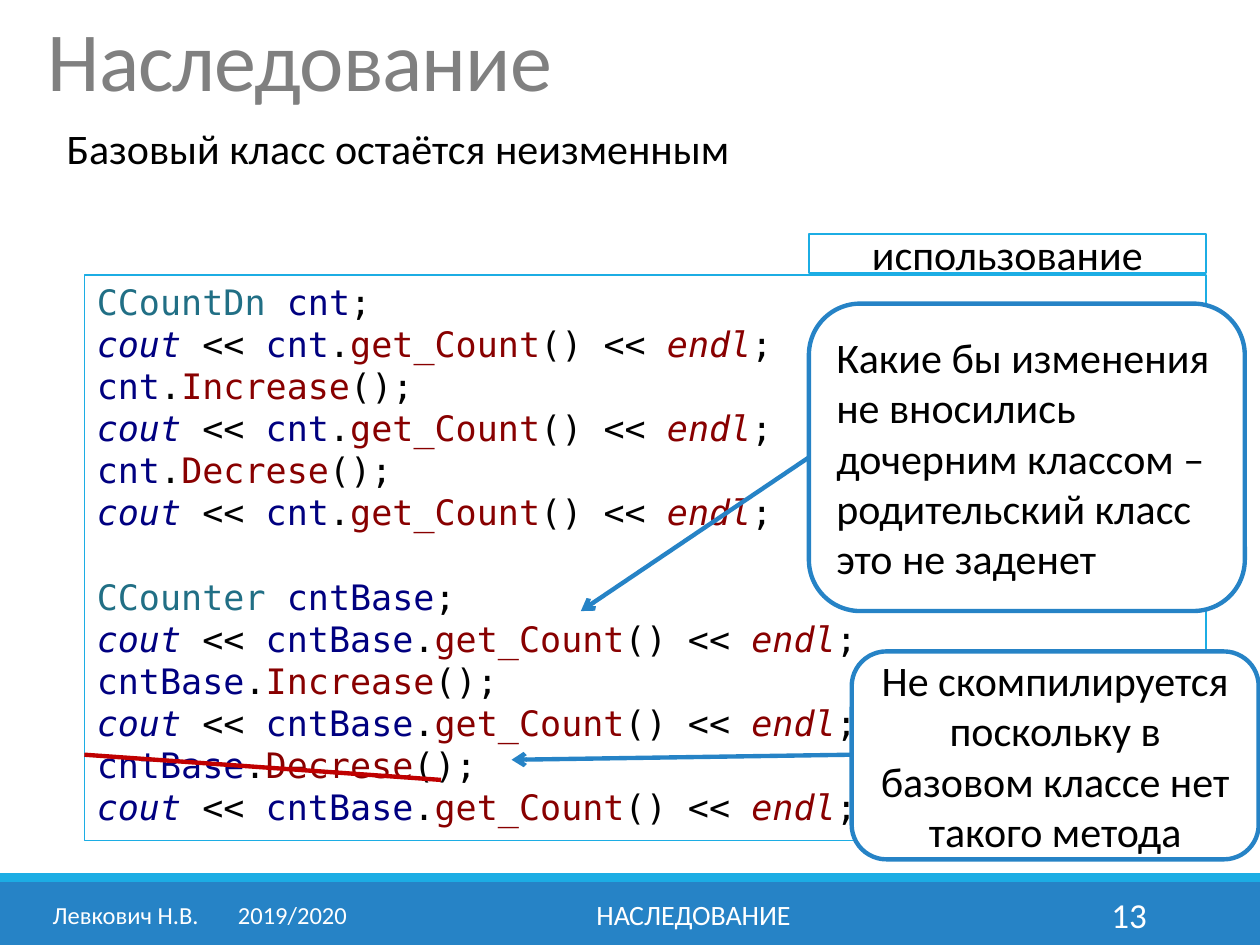
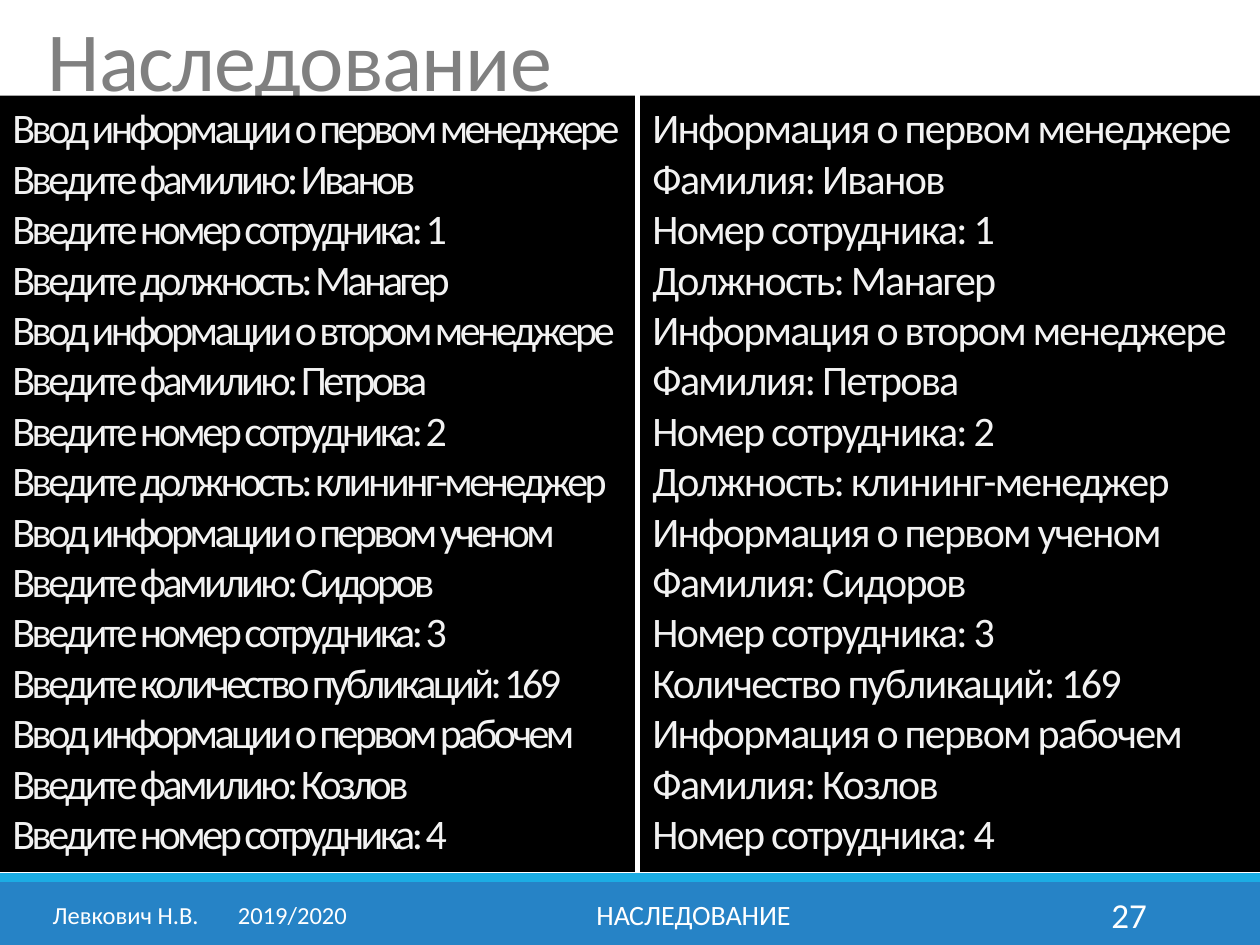
import itertools

import lxml.etree
import pptx
import pptx.dml.color
import pptx.enum.shapes
import pptx.enum.text
import pptx.oxml.ns
import pptx.util

PX = 9144
COLORS = {
    "blue": "2683C6", "cyan": "1CADE4", "gray": "808080", "black": "000000",
    "white": "FFFFFF", "light": "F2F2F2", "red": "C00000",
    "type": "216F85", "variable": "000080", "method": "880000",
}
SYNTAX = {
    "CCountDn": "type", "CCounter": "type",
    "cout": "variable", "cnt": "variable", "cntBase": "variable",
    "get_Count": "method", "Increase": "method", "Decrese": "method", "endl": "method",
}
ITALIC = ("cout", "endl")
ALIGN = pptx.enum.text.PP_ALIGN
ANCHOR = pptx.enum.text.MSO_ANCHOR
SHAPE = pptx.enum.shapes.MSO_SHAPE

CODE = """CCountDn cnt;
cout << cnt.get_Count() << endl;
cnt.Increase();
cout << cnt.get_Count() << endl;
cnt.Decrese();
cout << cnt.get_Count() << endl;

CCounter cntBase;
cout << cntBase.get_Count() << endl;
cntBase.Increase();
cout << cntBase.get_Count() << endl;
cntBase.Decrese();
cout << cntBase.get_Count() << endl;"""

INPUT = """Ввод информации о первом менеджере
Введите фамилию: Иванов
Введите номер сотрудника: 1
Введите должность: Манагер
Ввод информации о втором менеджере
Введите фамилию: Петрова
Введите номер сотрудника: 2
Введите должность: клининг-менеджер
Ввод информации о первом ученом
Введите фамилию: Сидоров
Введите номер сотрудника: 3
Введите количество публикаций: 169
Ввод информации о первом рабочем
Введите фамилию: Козлов
Введите номер сотрудника: 4"""

OUTPUT = """Информация о первом менеджере
Фамилия: Иванов
Номер сотрудника: 1
Должность: Манагер
Информация о втором менеджере
Фамилия: Петрова
Номер сотрудника: 2
Должность: клининг-менеджер
Информация о первом ученом
Фамилия: Сидоров
Номер сотрудника: 3
Количество публикаций: 169
Информация о первом рабочем
Фамилия: Козлов
Номер сотрудника: 4"""


def rgb(name):
    return pptx.dml.color.RGBColor.from_string(COLORS[name])


def add_xml(parent, tag, **attrs):
    return lxml.etree.SubElement(parent, pptx.oxml.ns.qn(tag), attrs)


def tokens(line):
    """Split a line of code into words and the symbols between them."""
    groups = itertools.groupby(line, lambda ch: ch.isalnum() or ch == "_")
    return ["".join(chars) for _, chars in groups]


def write(sp, text, size=24, color="black", font="Calibri", align=ALIGN.LEFT,
          anchor=ANCHOR.TOP, spacing=None, leading=None, tab=None, code=False):
    """Fill a shape with one paragraph per line of text."""
    tf = sp.text_frame
    tf.word_wrap = True
    tf.vertical_anchor = anchor
    for i, line in enumerate(text.split("\n")):
        p = tf.add_paragraph() if i else tf.paragraphs[0]
        p.alignment = align
        if leading:
            p.line_spacing = leading
        if tab:
            tabs = add_xml(p._p.get_or_add_pPr(), "a:tabLst")
            add_xml(tabs, "a:tab", pos=str(tab * PX), algn="l")
        for token in tokens(line) if code else [line]:
            r = p.add_run()
            r.text = token
            r.font.size = pptx.util.Pt(size)
            r.font.name = font
            r.font.italic = code and token in ITALIC
            r.font.color.rgb = rgb(SYNTAX.get(token, color) if code else color)
            if spacing:
                r._r.get_or_add_rPr().set("spc", str(int(spacing * 100)))
        if not line:
            end = add_xml(p._p, "a:endParaRPr", sz=str(size * 100))
            add_xml(end, "a:latin", typeface=font)


class Deck:
    """Holds the presentation style and the current slide."""

    def __init__(self):
        self.prs = pptx.Presentation()
        self.prs.slide_width = 1000 * PX
        self.prs.slide_height = 750 * PX

    def slide(self, title):
        self.s = self.prs.slides.add_slide(self.prs.slide_layouts[6])
        self.box(0, 700, 1000, 50, fill="blue")
        self.box(0, 693, 1000, 7, fill="cyan")
        self.text(28, 13, 945, 79, title, size=48, color="gray", spacing=-0.5, leading=0.85)

    def text(self, x, y, w, h, text, **style):
        sp = self.s.shapes.add_textbox(x * PX, y * PX, w * PX, h * PX)
        write(sp, text, **style)

    def box(self, x, y, w, h, text="", fill=None, line=None, weight=1,
            kind=SHAPE.RECTANGLE, **style):
        sp = self.s.shapes.add_shape(kind, x * PX, y * PX, w * PX, h * PX)
        sp.shadow.inherit = False
        if fill:
            sp.fill.solid()
            sp.fill.fore_color.rgb = rgb(fill)
        else:
            sp.fill.background()
        if line:
            sp.line.color.rgb = rgb(line)
            sp.line.width = pptx.util.Pt(weight)
        else:
            sp.line.fill.background()
        if text:
            write(sp, text, **style)

    def callout(self, x, y, w, h, text, align=ALIGN.LEFT):
        self.box(x, y, w, h, text, fill="white", line="blue", weight=2.5,
                 kind=SHAPE.ROUNDED_RECTANGLE, align=align, anchor=ANCHOR.MIDDLE)

    def line(self, x1, y1, x2, y2, color="blue", arrow=True):
        c = self.s.shapes.add_connector(
            pptx.enum.shapes.MSO_CONNECTOR.STRAIGHT, x1 * PX, y1 * PX, x2 * PX, y2 * PX)
        c.line.color.rgb = rgb(color)
        c.line.width = pptx.util.Pt(2.5)
        if arrow:
            add_xml(c.line._get_or_add_ln(), "a:tailEnd", type="arrow")
        add_xml(c._element.spPr, "a:effectLst")

    def footer(self, number):
        for x, w, text, size, align, tab in (
            (32, 261, "Левкович Н.В.\t2019/2020", 14, ALIGN.LEFT, 147),
            (302, 497, "НАСЛЕДОВАНИЕ", 16, ALIGN.CENTER, None),
            (812, 108, str(number), 20, ALIGN.RIGHT, None),
        ):
            self.text(x, 706, w, 40, text, size=size, color="white", align=align,
                      anchor=ANCHOR.MIDDLE, tab=tab)


def usage_slide(deck):
    deck.slide("Наследование")
    deck.text(43, 92, 780, 50, "Базовый класс остаётся неизменным")
    deck.box(67, 218, 890, 449, CODE, line="cyan", size=20, font="DejaVu Sans Mono", code=True)
    deck.box(642, 186, 315, 31, "использование", line="cyan",
             align=ALIGN.CENTER, anchor=ANCHOR.MIDDLE)
    deck.line(676, 599, 406, 603)
    deck.callout(676, 517, 323, 165,
                 "Не скомпилируется поскольку в базовом классе нет такого метода",
                 align=ALIGN.CENTER)
    deck.callout(642, 241, 346, 244,
                 "Какие бы изменения не вносились дочерним классом – "
                 "родительский класс это не заденет")
    deck.line(642, 363, 461, 485)
    deck.footer(13)
    deck.line(67, 599, 350, 619, color="red", arrow=False)


def console_slide(deck):
    deck.slide("Наследование")
    for x, w, text, spacing in ((0, 504, INPUT, -2), (508, 492, OUTPUT, -1)):
        deck.box(x, 76, w, 616, text, fill="black", color="light", spacing=spacing)
    deck.footer(27)


def main():
    deck = Deck()
    usage_slide(deck)
    console_slide(deck)
    deck.prs.save("out.pptx")


if __name__ == "__main__":
    main()
